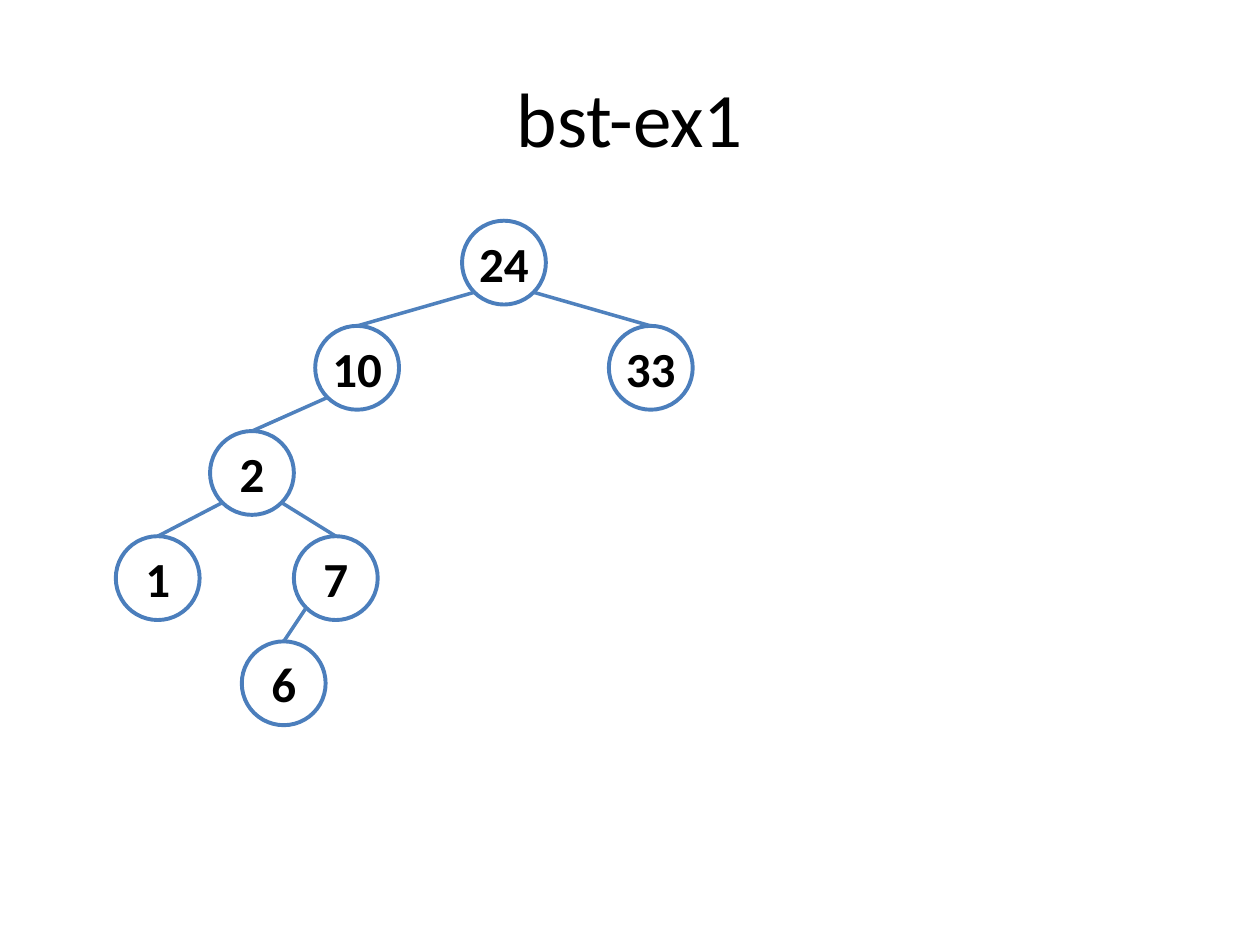
"""Build a slide showing a binary search tree."""
import math
from dataclasses import dataclass
from typing import Optional

from lxml import etree
from pptx import Presentation
from pptx.dml.color import RGBColor
from pptx.enum.shapes import MSO_CONNECTOR, MSO_SHAPE
from pptx.enum.text import MSO_ANCHOR, PP_ALIGN
from pptx.oxml.ns import qn
from pptx.util import Cm, Pt

OVAL = MSO_SHAPE.OVAL
STRAIGHT = MSO_CONNECTOR.STRAIGHT
MIDDLE = MSO_ANCHOR.MIDDLE
CENTER = PP_ALIGN.CENTER

FONT = "Calibri"
BLACK = "000000"
NODE_BLUE = "4B7EBC"
EDGE_BLUE = "4F81BD"
DIAMETER = 1.69
ROOT_TOP = 4.45
LEVEL_STEP = 2.12
TOP_SITE = 0


@dataclass(frozen=True)
class Node:
    key: int
    center: float
    level: int
    parent: Optional[int] = None

    @property
    def top(self) -> float:
        return ROOT_TOP + self.level * LEVEL_STEP


NODES = [
    Node(24, 10.16, 0),
    Node(33, 13.12, 1, 24),
    Node(10, 7.2, 1, 24),
    Node(7, 6.77, 3, 2),
    Node(1, 3.18, 3, 2),
    Node(2, 5.08, 2, 10),
    Node(6, 5.72, 4, 7),
]


def color(value: str) -> RGBColor:
    return RGBColor.from_string(value)


def style_text(text_frame, text: str, size: float, bold: bool) -> None:
    text_frame.text = text
    text_frame.vertical_anchor = MIDDLE
    paragraph = text_frame.paragraphs[0]
    paragraph.alignment = CENTER
    paragraph.font.name = FONT
    paragraph.font.size = Pt(size)
    paragraph.font.bold = bold
    paragraph.font.color.rgb = color(BLACK)


def add_title(slide, text: str) -> None:
    title = slide.shapes.title
    title.left, title.top = Cm(1.27), Cm(0.76)
    title.width, title.height = Cm(22.86), Cm(3.18)
    style_text(title.text_frame, text, 44, False)


def add_node(slide, node: Node):
    shape = slide.shapes.add_shape(
        OVAL, Cm(node.center - DIAMETER / 2), Cm(node.top), Cm(DIAMETER), Cm(DIAMETER)
    )
    shape.shadow.inherit = False
    shape.fill.background()
    shape.line.color.rgb = color(NODE_BLUE)
    shape.line.width = Pt(2.25)
    frame = shape.text_frame
    frame.margin_left = frame.margin_right = frame.margin_top = frame.margin_bottom = 0
    style_text(frame, str(node.key), 28, True)
    return shape


def add_edge(slide, parent: Node, child: Node, child_shape) -> None:
    radius = DIAMETER / 2
    offset = radius * math.sqrt(0.5)
    start_x = parent.center + math.copysign(offset, child.center - parent.center)
    start_y = parent.top + radius + offset
    edge = slide.shapes.add_connector(
        STRAIGHT, Cm(start_x), Cm(start_y), Cm(child.center), Cm(child.top)
    )
    edge.end_connect(child_shape, TOP_SITE)
    edge.line.color.rgb = color(EDGE_BLUE)
    edge.line.width = Pt(2)
    etree.SubElement(edge._element.spPr, qn("a:effectLst"))


def main() -> None:
    presentation = Presentation()
    presentation.slide_width, presentation.slide_height = Cm(25.4), Cm(19.05)
    slide = presentation.slides.add_slide(presentation.slide_layouts[5])
    add_title(slide, "bst-ex1")
    shapes = {node.key: add_node(slide, node) for node in NODES}
    nodes = {node.key: node for node in NODES}
    for node in NODES:
        if node.parent is not None:
            add_edge(slide, nodes[node.parent], node, shapes[node.key])
    presentation.save("out.pptx")


main()
